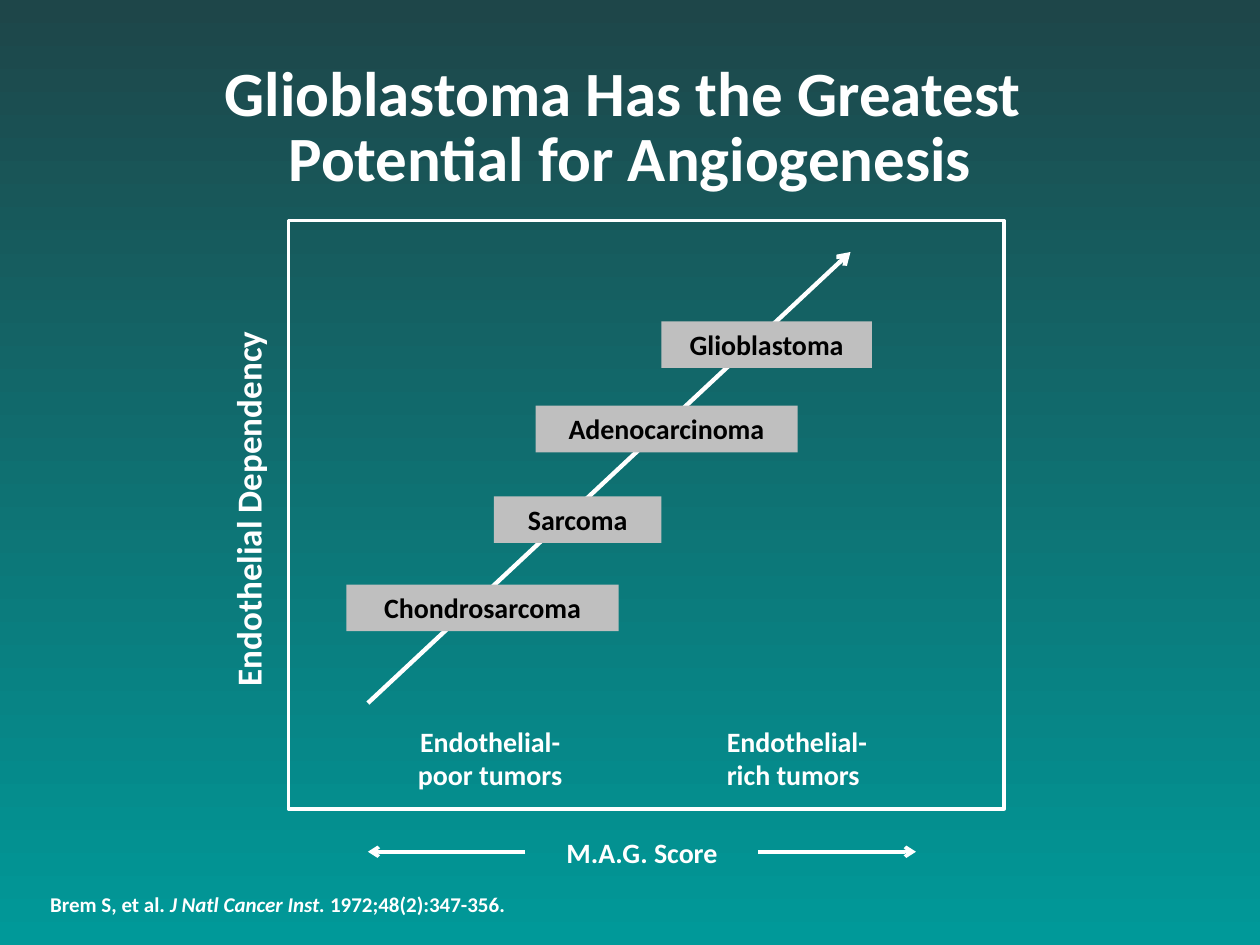
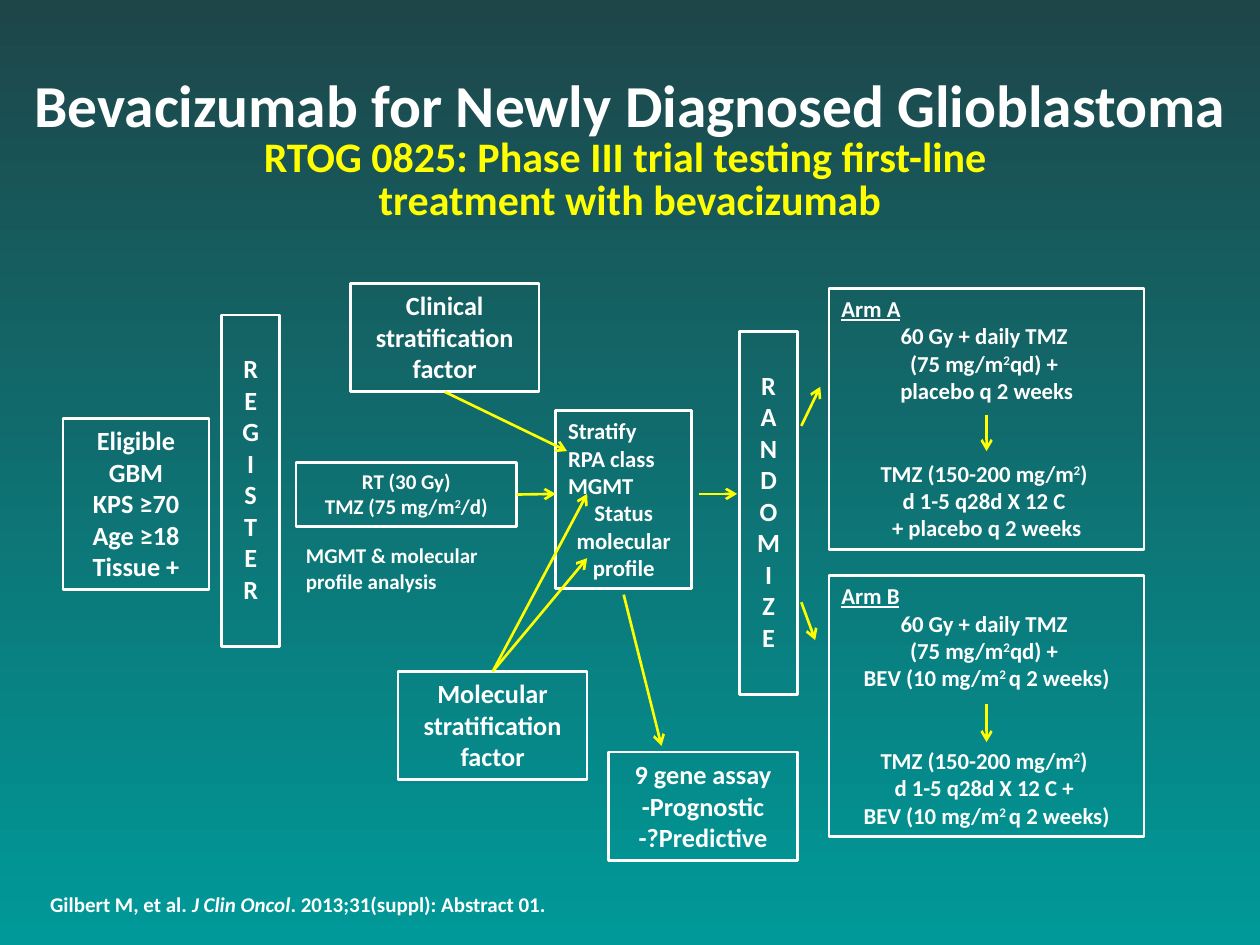
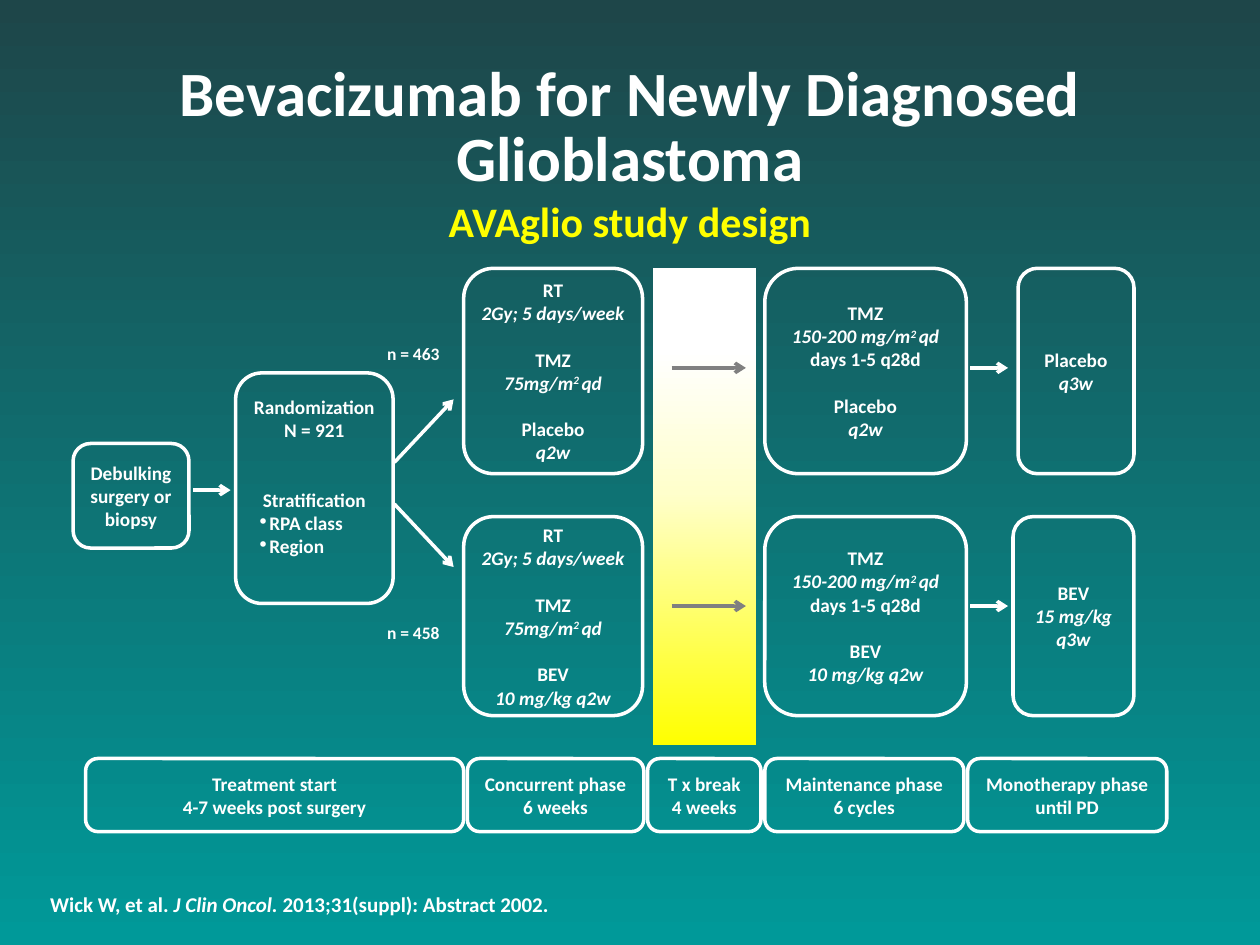
from collections import namedtuple
from copy import deepcopy

from lxml import etree
from pptx import Presentation
from pptx.dml.color import RGBColor
from pptx.enum.shapes import MSO_CONNECTOR, MSO_SHAPE
from pptx.enum.text import MSO_ANCHOR, MSO_AUTO_SIZE, PP_ALIGN
from pptx.oxml.ns import qn
from pptx.util import Inches, Pt

RECT, ROUND = MSO_SHAPE.RECTANGLE, MSO_SHAPE.ROUNDED_RECTANGLE
LINE = MSO_CONNECTOR.STRAIGHT
LEFT, CENTER = PP_ALIGN.LEFT, PP_ALIGN.CENTER
TOP, MIDDLE = MSO_ANCHOR.TOP, MSO_ANCHOR.MIDDLE
FIXED = MSO_AUTO_SIZE.NONE

WHITE = RGBColor(0xFF, 0xFF, 0xFF)
BLACK = RGBColor(0, 0, 0)
YELLOW = RGBColor(0xFF, 0xFF, 0)
CREAM = RGBColor(0xFF, 0xFF, 0xCC)
SILVER = RGBColor(0xBF, 0xBF, 0xBF)
GRAY = RGBColor(0x80, 0x80, 0x80)
TEAL = RGBColor(0, 0x99, 0x99)
DARK = RGBColor(0x1E, 0x46, 0x49)
FONT = "Calibri"
SQUARE = ("2", "sup")
SPACED = ("2 ", "sup")

Para = namedtuple("Para", "runs align gap bullet")


def para(*runs, align=CENTER, gap=0, bullet=False):
    """Describe a paragraph of plain strings and (text, style) runs."""
    return Para(runs, align, gap, bullet)


def lines(text, align=CENTER):
    """Describe one plain paragraph for each line of text."""
    return [para(line, align=align) for line in text.split("\n")]


def add_run(par, text, style, size, color):
    """Add styled text, with line breaks where the text has them."""
    for i, part in enumerate(text.split("\n")):
        if i:
            par.add_line_break()
        if not part:
            continue
        run = par.add_run()
        run.text = part
        font = run.font
        font.name, font.size, font.bold = FONT, Pt(size), True
        font.color.rgb = color
        font.italic = "ital" in style
        font.underline = "under" in style
        if "sup" in style:
            run._r.get_or_add_rPr().set("baseline", "30000")


def add_dot(par):
    """Give a paragraph a hanging dot bullet."""
    props = par._p.get_or_add_pPr()
    props.set("marL", str(Inches(0.19)))
    props.set("indent", str(-Inches(0.08)))
    etree.SubElement(props, qn("a:buChar")).set("char", "∙")


def write(frame, paras, size, color=WHITE, anchor=TOP, pack=None):
    """Fill a text frame with paragraphs."""
    frame.word_wrap = True
    frame.auto_size = FIXED
    frame.vertical_anchor = anchor
    for i, item in enumerate(paras):
        par = frame.add_paragraph() if i else frame.paragraphs[0]
        if item.bullet:
            add_dot(par)
        par.alignment = item.align
        if item.gap:
            par.space_before = Pt(item.gap)
        if pack:
            par.line_spacing = pack
        for run in item.runs:
            text, style = (run, "") if isinstance(run, str) else run
            add_run(par, text, style, size, color)


def add_text(slide, at, paras, size, color=WHITE, pack=None):
    """Add a text box."""
    box = slide.shapes.add_textbox(*map(Inches, at))
    write(box.text_frame, paras, size, color, pack=pack)
    return box


def add_box(slide, at, kind=RECT, fill=None, line=None):
    """Add a preset shape with an optional fill and outline width."""
    box = slide.shapes.add_shape(kind, *map(Inches, at))
    box.shadow.inherit = False
    if fill is None:
        box.fill.background()
    else:
        box.fill.solid()
        box.fill.fore_color.rgb = fill
    if line:
        box.line.color.rgb = WHITE
        box.line.width = Pt(line)
    else:
        box.line.fill.background()
    return box


def add_step(slide, at, paras, size, top=0.05):
    """Add an outlined square box with text from the top."""
    box = add_box(slide, at, line=1.5)
    write(box.text_frame, paras, size)
    box.text_frame.margin_top = Inches(top)
    return box


def add_card(slide, at, paras, base=0.05):
    """Add an outlined round box with text in the middle."""
    box = add_box(slide, at, ROUND, line=2)
    frame = box.text_frame
    write(frame, paras, 11, anchor=MIDDLE)
    frame.margin_left = frame.margin_right = 0
    frame.margin_bottom = Inches(base)


def add_arrow(slide, ends, color=WHITE, width=2, start=None):
    """Add an arrow, joined to a (shape, side) start if there is one."""
    arrow = slide.shapes.add_connector(LINE, *map(Inches, ends))
    if start:
        arrow.begin_connect(*start)
    arrow.line.color.rgb = color
    arrow.line.width = Pt(width)
    props = arrow._element.spPr
    tail = etree.SubElement(props.find(qn("a:ln")), qn("a:tailEnd"))
    tail.set("type", "arrow")
    etree.SubElement(props, qn("a:effectLst"))


def blend(fill, root, stops):
    """Set an upward gradient with the given (place, color) stops."""
    fill.gradient()
    fill.gradient_angle = 90
    marks = root.find(".//" + qn("a:gsLst"))
    while len(marks) < len(stops):
        marks.append(deepcopy(marks[-1]))
    for mark, (place, color) in zip(fill.gradient_stops, stops):
        mark.position = place
        mark.color.rgb = color


def add_slide(prs, title, cite, top=0.47, size=36, pack=0.85):
    """Add a slide with its title and its citation."""
    slide = prs.slides.add_slide(prs.slide_layouts[5])
    head = slide.shapes.title
    head.left, head.top = 0, Inches(top)
    head.width, head.height = Inches(10), Inches(1.13)
    write(head.text_frame, [para(title)], size, pack=pack)
    author, journal, rest = cite
    note = para(author, (journal, "ital"), rest, align=LEFT)
    add_text(slide, (0.3, 7.03, 7.67, 0.3), [note], 12)
    return slide


def add_sub(slide, top, text):
    """Add the yellow subtitle."""
    add_text(slide, (0, top, 10, 0.79), [para(text)], 24, YELLOW, 0.85)


def build_score(prs):
    """Build the slide on tumors and their endothelial dependency."""
    slide = add_slide(
        prs, "Glioblastoma Has the Greatest \nPotential for Angiogenesis",
        ("Brem S, et al. ", "J Natl Cancer Inst. ", "1972;48(2):347-356."))
    add_box(slide, (2.29, 1.75, 5.68, 4.67), line=2)
    axis = add_text(slide, (1.75, 1.75, 0.54, 4.58),
                    [para("Endothelial Dependency")], 20)
    axis.text_frame._txBody.bodyPr.set("vert", "vert270")
    for left, kind, align in ((3.08, "poor", CENTER), (5.67, "rich", LEFT)):
        add_text(slide, (left, 5.7, 1.62, 0.64),
                 lines(f"Endothelial-\n{kind} tumors", align), 16)
    add_text(slide, (4.17, 6.58, 1.85, 0.37), [para("M.A.G. Score")], 16)
    add_arrow(slide, (2.92, 5.58, 6.75, 2), width=2.5)
    for left, top, width, name in (
            (2.75, 4.64, 2.16, "Chondrosarcoma"),
            (3.92, 3.94, 1.33, "Sarcoma"),
            (4.25, 3.22, 2.08, "Adenocarcinoma"),
            (5.25, 2.55, 1.67, "Glioblastoma")):
        tag = add_box(slide, (left, top, width, 0.37), fill=SILVER)
        write(tag.text_frame, [para(name)], 16, BLACK)
    for start, end in ((4.17, 2.92), (6.02, 7.27)):
        add_arrow(slide, (start, 6.76, end, 6.76))


def build_trial(prs):
    """Build the flow of the first-line trial."""
    slide = add_slide(
        prs, "Bevacizumab for Newly Diagnosed Glioblastoma",
        ("Gilbert M, et al. ", "J Clin Oncol",
         ". 2013;31(suppl): Abstract 01."), 0.49, 34, None)
    add_sub(slide, 1.05, "RTOG 0825: Phase III trial testing first-line \n"
                         "treatment with bevacizumab")
    add_step(slide, (0.5, 3.32, 1.16, 1.36),
             lines("Eligible\nGBM\nKPS ≥70\nAge ≥18\nTissue +"), 15)
    for left, top, high, word in ((1.76, 2.5, 2.63, "REGISTER"),
                                  (5.87, 2.63, 2.88, "RANDOMIZE")):
        add_step(slide, (left, top, 0.46, high),
                 lines("\n".join(word)), 15, 0.3)
    clinic, genes, _ = [
        add_step(slide, (left, top, 1.5, 0.86), lines(text), 15)
        for left, top, text in (
            (2.78, 2.25, "Clinical stratification\nfactor"),
            (3.16, 5.33, "Molecular\nstratification\nfactor"),
            (4.83, 5.97, "9 gene assay\n-Prognostic\n-?Predictive"))]
    dose = add_step(slide, (2.35, 3.67, 1.75, 0.51),
                    [para("RT (30 Gy)"),
                     para("TMZ (75 mg/m", SQUARE, "/d)")], 12)
    add_text(slide, (2.33, 4.26, 1.75, 0.51),
             lines("MGMT & molecular\nprofile analysis", LEFT), 12)
    add_step(slide, (4.41, 3.26, 1.08, 1.41),
             lines("Stratify\nRPA class\nMGMT", LEFT)
             + lines("Status\nmolecular profile"), 13)

    bev = ["BEV (10 mg/m", SPACED, "q 2 weeks)"]
    for top, name, first, cycle, then in (
            (2.29, "Arm A", ["placebo q 2 weeks"],
             "C \n", ["+ placebo q 2 weeks"]),
            (4.57, "Arm B", bev, "C + \n", bev)):
        add_step(slide, (6.58, top, 2.5, 2.07), [
            para((name, "under"), align=LEFT),
            para("60 Gy + daily TMZ \n(75 mg/m", SQUARE, "qd) + \n", *first),
            para("TMZ (150-200 mg/m", SQUARE,
                 ") \nd 1-5 q28d X 12 " + cycle, *then, gap=31.7)], 13)

    for ends, start in (
            ((3.53, 3.11, 4.5, 3.58), (clinic, 2)),
            ((3.91, 5.33, 4.66, 3.92), (genes, 0)),
            ((3.91, 5.33, 4.66, 4.43), (genes, 0)),
            ((4.1, 3.92, 4.41, 3.92), (dose, 3)),
            ((4.95, 4.72, 5.25, 5.92), None),
            ((5.55, 3.92, 5.85, 3.92), None),
            ((6.36, 3.38, 6.51, 3.07), None),
            ((6.36, 4.78, 6.47, 5.08), None),
            ((7.83, 3.29, 7.83, 3.58), None),
            ((7.83, 5.59, 7.83, 5.89), None)):
        add_arrow(slide, ends, YELLOW, 1.5, start)


def build_study(prs):
    """Build the study design with its two arms and five phases."""
    slide = add_slide(
        prs, "Bevacizumab for Newly Diagnosed Glioblastoma",
        ("Wick W, et al. ", "J Clin Oncol. ",
         "2013;31(suppl): Abstract 2002."))
    add_sub(slide, 1.56, "AVAglio study design")
    pause = add_box(slide, (5.18, 2.13, 0.82, 3.78))
    blend(pause.fill, pause._element,
          ((0, YELLOW), (0.53, CREAM), (0.83, WHITE), (1, WHITE)))
    add_card(slide, (0.58, 3.52, 0.92, 0.83),
             [para("Debulking surgery or biopsy")])
    add_card(slide, (1.87, 2.96, 1.25, 1.83), [
        para("Randomization"), para("N = 921"),
        para("Stratification", gap=26.8),
        para("RPA class", align=LEFT, bullet=True),
        para("Region", align=LEFT, bullet=True)], 0.24)

    left = 0.68
    for width, text in (
            (3, "Treatment start\n4-7 weeks post surgery"),
            (1.4, "Concurrent phase\n6 weeks"),
            (0.9, "T x break\n4 weeks"),
            (1.58, "Maintenance phase\n6 cycles"),
            (1.58, "Monotherapy phase\nuntil PD")):
        add_card(slide, (left, 6.02, width, 0.58), lines(text))
        left += width + 0.03

    gap = 13.4
    for top, high, mid, last, drug, dose, end, count, low in (
            (2.13, 1.63, 2.92, 8.08, "Placebo", "q2w", "q3w",
             "n = 463", 2.67),
            (4.1, 1.58, 4.81, 8.04, "BEV", "10 mg/kg q2w", "15 mg/kg q3w",
             "n = 458", 4.89)):
        added = [para(drug, gap=gap), para((dose, "ital"))]
        add_card(slide, (3.68, top, 1.42, high), [
            para("RT"), para(("2Gy; 5 days/week", "ital")),
            para("TMZ", gap=gap),
            para(("75mg/m", "ital"), ("2 ", "sup ital"), ("qd", "ital")),
            *added])
        add_card(slide, (6.07, top, 1.6, high), [
            para("TMZ"),
            para(("150-200 mg/m", "ital"), ("2 ", "sup ital"),
                 ("qd ", "ital"), "days 1-5 q28d"),
            *added])
        add_card(slide, (last, top, 9 - last, high),
                 [para(drug), para((end, "ital"))])
        add_text(slide, (2.87, low, 0.82, 0.27), [para(count)], 10)
        add_arrow(slide, (7.7, mid, 8, mid))
        add_arrow(slide, (5.33, mid, 5.92, mid), GRAY)
    for ends in ((1.53, 3.89, 1.83, 3.89), (3.13, 3.67, 3.6, 3.17),
                 (3.13, 4, 3.6, 4.5)):
        add_arrow(slide, ends)


def main():
    """Build and save the deck."""
    prs = Presentation()
    prs.slide_width, prs.slide_height = Inches(10), Inches(7.5)
    master = prs.slide_master
    blend(master.background.fill, master._element, ((0, TEAL), (1, DARK)))
    build_score(prs)
    build_trial(prs)
    build_study(prs)
    prs.save("out.pptx")


if __name__ == "__main__":
    main()
